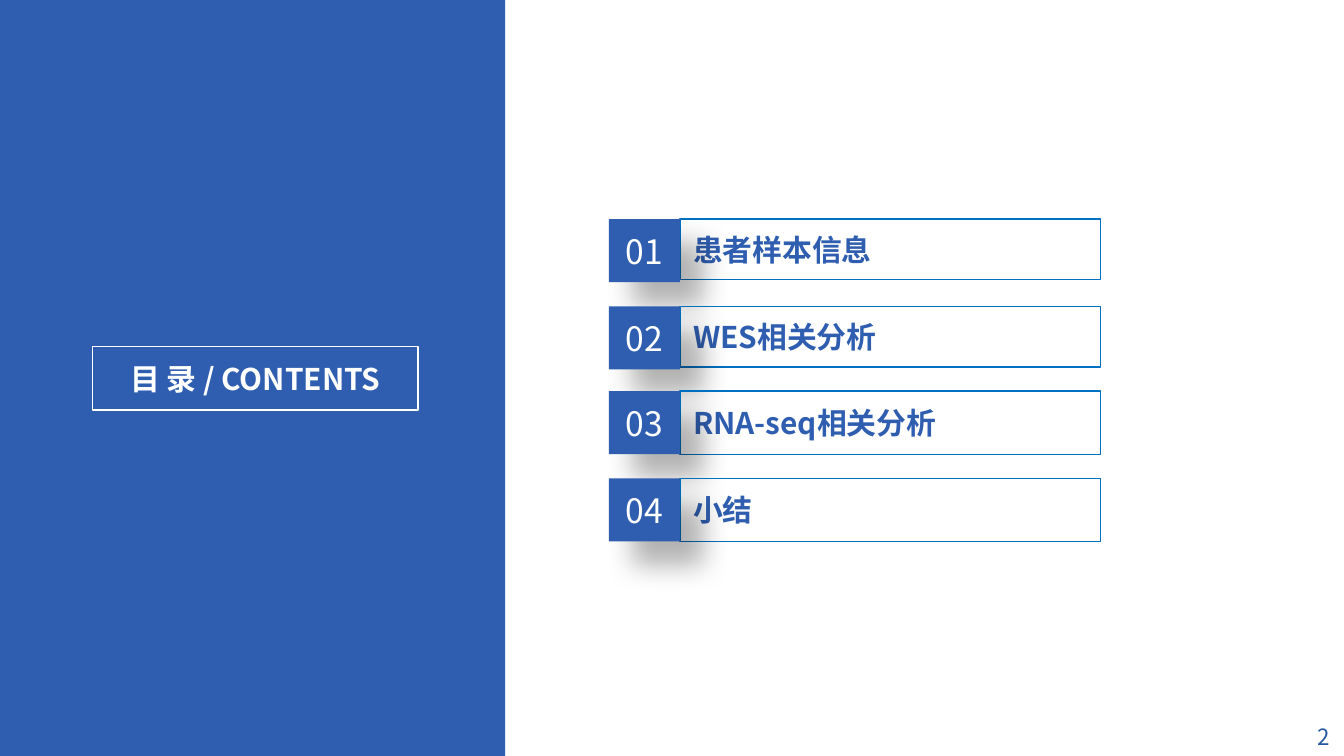
import pptx
import pptx.dml.color
import pptx.enum.shapes
import pptx.enum.text
import pptx.oxml
import pptx.oxml.ns
import pptx.util
from pptx.util import Inches

COLORS = {
    "blue": "2F5EB0",
    "outline": "0070C0",
    "page_number": "2759A2",
    "white": "FFFFFF",
    "shadow": "000000",
}
FONT = "Noto Sans CJK SC"
SHAPES = pptx.enum.shapes.MSO_SHAPE
ALIGN = pptx.enum.text.PP_ALIGN
PAGE_WIDTH = 10
PAGE_HEIGHT = PAGE_WIDTH * 9 / 16
TOPICS = [
    ("患者样本信息", 1.63, 0.45),
    ("WES相关分析", 2.28, 0.45),
    ("RNA-seq相关分析", 2.91, 0.47),
    ("小结", 3.56, 0.47),
]


def rgb(name):
    """Return the named colour."""
    return pptx.dml.color.RGBColor.from_string(COLORS[name])


def write(box, text, size=16, color="blue", bold=False, align=ALIGN.LEFT):
    """Put one formatted line of text in a box, centred vertically."""
    frame = box.text_frame
    frame.word_wrap = True
    frame.vertical_anchor = pptx.enum.text.MSO_ANCHOR.MIDDLE
    para = frame.paragraphs[0]
    para.alignment = align
    span = para.add_run()
    span.text = text
    span.font.size = pptx.util.Pt(size)
    span.font.bold = bold
    span.font.color.rgb = rgb(color)
    span.font.name = FONT
    east_asian = pptx.oxml.parse_xml(
        f'<a:ea {pptx.oxml.ns.nsdecls("a")} typeface="{FONT}"/>')
    span.font.fill._xPr.find(pptx.oxml.ns.qn("a:latin")).addnext(east_asian)


def add_block(page, left, top, width, height):
    """Add a solid blue rectangle without outline."""
    box = page.shapes.add_shape(SHAPES.RECTANGLE, Inches(left), Inches(top),
                                Inches(width), Inches(height))
    box.shadow.inherit = False
    box.fill.solid()
    box.fill.fore_color.rgb = rgb("blue")
    box.line.fill.background()
    return box


def add_frame(page, left, top, width, height, color):
    """Add an unfilled square-cornered frame with a thin outline."""
    box = page.shapes.add_shape(SHAPES.ROUNDED_RECTANGLE, Inches(left), Inches(top),
                                Inches(width), Inches(height))
    box.adjustments[0] = 0
    box.shadow.inherit = False
    box.fill.background()
    box.line.color.rgb = rgb(color)
    box.line.width = pptx.util.Pt(0.75)
    return box


def add_shadow(box):
    """Give a box a soft shadow towards the lower right."""
    effects = box._element.spPr.find(pptx.oxml.ns.qn("a:effectLst"))
    effects.append(pptx.oxml.parse_xml(
        f'<a:outerShdw {pptx.oxml.ns.nsdecls("a")} blurRad="{pptx.util.Pt(15)}" '
        f'dist="{pptx.util.Pt(18)}" dir="2700000" algn="tl" rotWithShape="0">'
        f'<a:srgbClr val="{COLORS["shadow"]}"><a:alpha val="30000"/></a:srgbClr>'
        '</a:outerShdw>'))


def add_topic(page, number, text, top, height):
    """Add a framed topic with its numbered tile."""
    label = add_frame(page, 5.06, top, 3.13, height, "outline")
    write(label, text, bold=True)
    tile = add_block(page, 4.53, top, 0.53, 0.47)
    add_shadow(tile)
    write(tile, f"{number:02}", size=18, color="white", align=ALIGN.CENTER)


def main():
    """Build the contents slide and save it."""
    deck = pptx.Presentation()
    deck.slide_width, deck.slide_height = Inches(PAGE_WIDTH), Inches(PAGE_HEIGHT)
    page = deck.slides.add_slide(deck.slide_layouts[6])
    add_block(page, 0, 0, 3.76, PAGE_HEIGHT)
    title = add_frame(page, 0.69, 2.58, 2.42, 0.47, "white")
    write(title, "目 录 / CONTENTS", color="white", bold=True, align=ALIGN.CENTER)
    page_number = page.shapes.add_textbox(Inches(9.08), Inches(5.34),
                                          Inches(0.91), Inches(0.28))
    write(page_number, "2", size=12, color="page_number", align=ALIGN.RIGHT)
    for number, (text, top, height) in enumerate(TOPICS, start=1):
        add_topic(page, number, text, top, height)
    deck.save("out.pptx")


if __name__ == "__main__":
    main()
